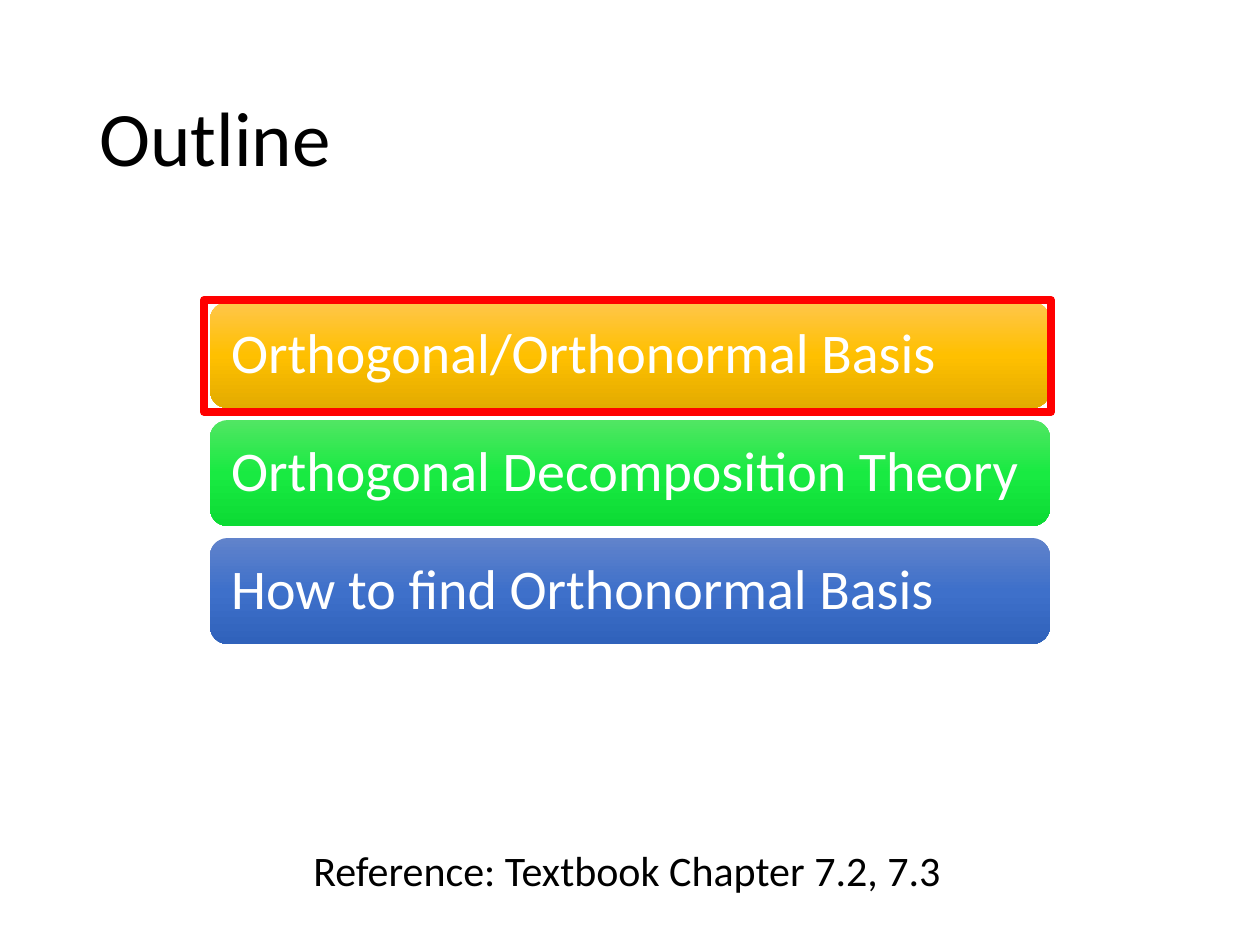
from dataclasses import dataclass

from lxml.etree import SubElement
from pptx import Presentation
from pptx.dml.color import RGBColor
from pptx.enum.shapes import MSO_SHAPE as SHAPE
from pptx.enum.text import MSO_ANCHOR as ANCHOR, PP_ALIGN as ALIGN
from pptx.oxml.ns import qn
from pptx.util import Inches, Pt

PX = Inches(1) / 126


@dataclass(frozen=True)
class Theme:
    font: str = "Calibri"
    ink: str = "000000"
    on_bar: str = "FFFFFF"
    highlight: str = "FF0000"
    gold: tuple = ("FFC64B", "FFC000", "E3AB00")
    green: tuple = ("51E663", "19EA42", "0CDB34")
    blue: tuple = ("6183CB", "3E70CA", "3062BB")
    title_size: int = 44
    topic_size: int = 32
    reference_size: int = 24


theme = Theme()


def px(*lengths):
    return [round(length * PX) for length in lengths]


def write(shape, text, size, color, anchor=ANCHOR.TOP, spacing=1.0):
    frame = shape.text_frame
    frame.text = text
    frame.vertical_anchor = anchor
    paragraph = frame.paragraphs[0]
    paragraph.alignment = ALIGN.LEFT
    paragraph.line_spacing = spacing
    font = paragraph.runs[0].font
    font.name = theme.font
    font.size = Pt(size)
    font.color.rgb = RGBColor.from_string(color)


deck = Presentation()
deck.slide_width, deck.slide_height = px(1260, 945)
slide = deck.slides.add_slide(deck.slide_layouts[6])
shapes = slide.shapes

# Title
title = shapes.add_textbox(*px(87, 50, 1086, 183))
title.text_frame.word_wrap = True
write(title, "Outline", theme.title_size, theme.ink, ANCHOR.MIDDLE, 0.9)

# Reference
reference = shapes.add_textbox(*px(301, 838, 659, 63))
reference.text_frame.word_wrap = False
write(reference, "Reference: Textbook Chapter 7.2, 7.3", theme.reference_size, theme.ink)

# Topic bars, evenly stacked
topics = [
    ("Orthogonal/Orthonormal Basis", theme.gold),
    ("Orthogonal Decomposition Theory", theme.green),
    ("How to find Orthonormal Basis", theme.blue),
]
BAR_TOP, BAR_PITCH = 302, 118
for row, (topic, gradient) in enumerate(topics):
    bar = shapes.add_shape(SHAPE.ROUNDED_RECTANGLE, *px(210, BAR_TOP + row * BAR_PITCH, 840, 106))
    bar.shadow.inherit = False
    bar.line.fill.background()

    # Three-stop vertical gradient
    bar.fill.gradient()
    bar.fill.gradient_angle = 270
    stops = bar._element.spPr.find(qn("a:gradFill")).find(qn("a:gsLst"))
    stops.clear()
    for position, color in zip((0, 50000, 100000), gradient):
        stop = SubElement(stops, qn("a:gs"), pos=str(position))
        SubElement(stop, qn("a:srgbClr"), val=color)

    frame = bar.text_frame
    frame.word_wrap = True
    inset = px(16)[0]
    frame.margin_left = frame.margin_right = inset
    frame.margin_top = frame.margin_bottom = inset
    write(bar, topic, theme.topic_size, theme.on_bar, ANCHOR.MIDDLE, 0.9)

# Frame around the current topic
current = shapes.add_shape(SHAPE.RECTANGLE, *px(204, 300, 847, 112))
current.shadow.inherit = False
current.fill.background()
current.line.color.rgb = RGBColor.from_string(theme.highlight)
current.line.width = Pt(4.5)

deck.save("out.pptx")
